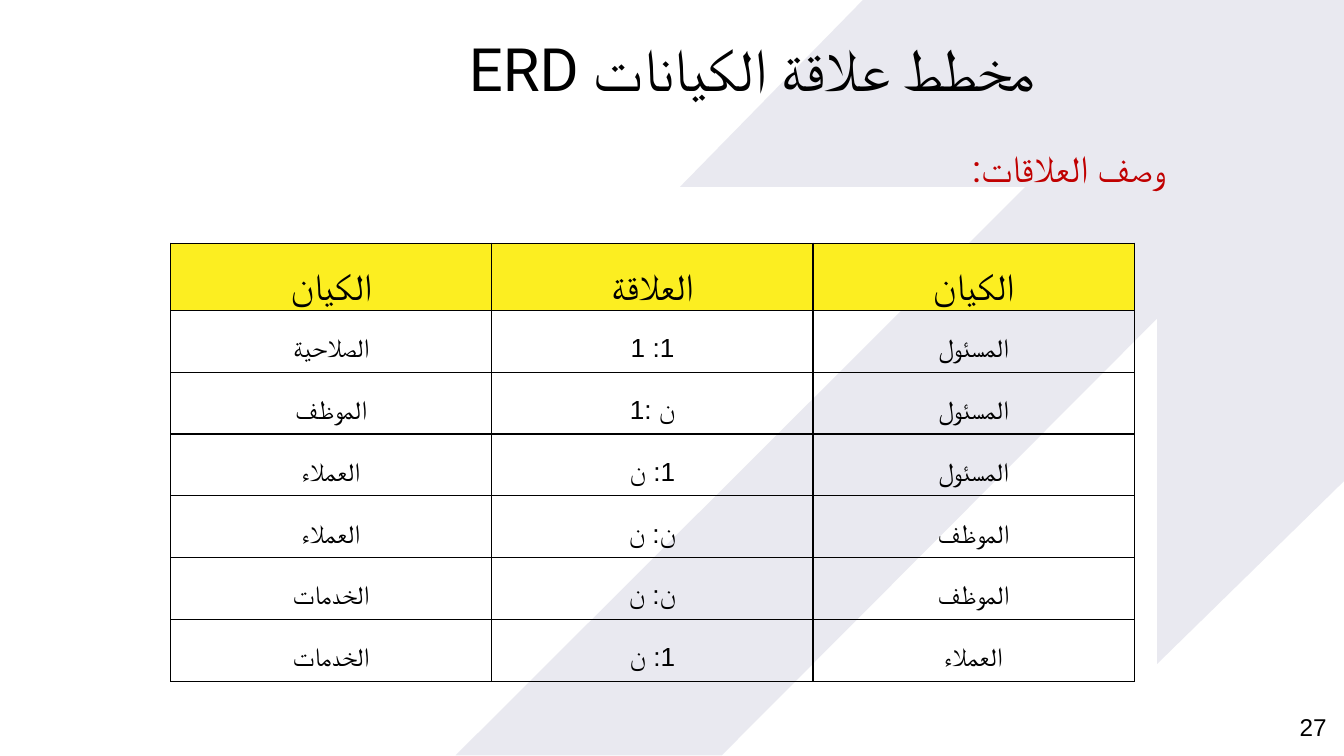
from dataclasses import dataclass

from lxml.etree import SubElement
from pptx import Presentation
from pptx.dml.color import RGBColor
from pptx.enum.text import MSO_ANCHOR, PP_ALIGN
from pptx.oxml.ns import qn
from pptx.util import Inches, Pt


@dataclass(frozen=True)
class Theme:
    black: str = "000000"
    red: str = "C00000"
    yellow: str = "FCEE21"
    shade: str = "E9E9F0"
    heading_font: str = "Roboto"
    body_font: str = "Arial"
    title_size: int = 32
    heading_size: int = 20
    cell_size: int = 14
    number_size: int = 13
    border_width: float = 0.75


THEME = Theme()
PAGE_WIDTH = 10
PAGE_HEIGHT = PAGE_WIDTH * 9 / 16

# Corners in hundredths of an inch, since a freeform takes whole units.
BACKDROP = [
    (642, 0), (506, 139), (763, 139), (339, 562), (537, 562),
    (861, 237), (861, 494), (1000, 358), (1000, 0),
]
HEADER = ["الكيان", "العلاقة", "الكيان"]
RELATIONS = [
    ["الصلاحية", "1: 1", "المسئول"],
    ["الموظف", "1: ن", "المسئول"],
    ["العملاء", "1: ن", "المسئول"],
    ["العملاء", "ن: ن", "الموظف"],
    ["الخدمات", "ن: ن", "الموظف"],
    ["الخدمات", "1: ن", "العملاء"],
]
RTL_RELATION_ROWS = {1, 3, 6}


def write_text(frame, text, *, size, font=THEME.body_font, color=THEME.black,
               align=PP_ALIGN.RIGHT, rtl=False, line_spacing=None):
    """Write one run, with the font set for Latin and Arabic letters alike."""
    para = frame.paragraphs[0]
    para.alignment = align
    if line_spacing:
        para.line_spacing = line_spacing
    if rtl:
        para._p.get_or_add_pPr().set("rtl", "1")
    span = para.add_run()
    span.text = text
    span.font.size = Pt(size)
    span.font.color.rgb = RGBColor.from_string(color)
    span.font.name = font
    SubElement(span._r.get_or_add_rPr(), qn("a:cs"), typeface=font)


class SlideBuilder:
    def __init__(self, page, theme):
        self.page = page
        self.theme = theme

    def polygon(self, points, color):
        start, *others = points
        builder = self.page.shapes.build_freeform(*start, scale=Inches(0.01))
        builder.add_line_segments(others, close=True)
        shape = builder.convert_to_shape()
        shape.shadow.inherit = False
        shape.fill.solid()
        shape.fill.fore_color.rgb = RGBColor.from_string(color)
        shape.line.fill.background()

    def text(self, left, top, width, height, text, *, inset=True,
             anchor=MSO_ANCHOR.TOP, **style):
        box = self.page.shapes.add_textbox(
            Inches(left), Inches(top), Inches(width), Inches(height))
        frame = box.text_frame
        frame.word_wrap = True
        frame.vertical_anchor = anchor
        if not inset:
            frame.margin_left = frame.margin_right = 0
            frame.margin_top = frame.margin_bottom = 0
        write_text(frame, text, **style)

    def table(self, left, top, column_width, header_height, row_height,
              header, body):
        rows = [header, *body]
        table = self.page.shapes.add_table(
            len(rows), len(header), Inches(left), Inches(top),
            Inches(column_width * len(header)),
            Inches(header_height + row_height * len(body))).table
        table.first_row = table.horz_banding = False
        for column in table.columns:
            column.width = Inches(column_width)
        for r, values in enumerate(rows):
            table.rows[r].height = Inches(row_height if r else header_height)
            for c, value in enumerate(values):
                self.cell(table.cell(r, c), value, is_header=r == 0,
                          rtl=c == 1 and r in RTL_RELATION_ROWS)

    def cell(self, cell, value, is_header, rtl):
        cell.margin_left = cell.margin_right = Inches(0.07)
        cell.margin_top = cell.margin_bottom = 0
        cell.vertical_anchor = MSO_ANCHOR.MIDDLE
        self.borders(cell)
        if is_header:
            cell.fill.solid()
            cell.fill.fore_color.rgb = RGBColor.from_string(self.theme.yellow)
        else:
            cell.fill.background()
        size = self.theme.heading_size if is_header else self.theme.cell_size
        write_text(cell.text_frame, value, size=size, align=PP_ALIGN.CENTER,
                   rtl=rtl, line_spacing=1.5)

    def borders(self, cell):
        properties = cell._tc.get_or_add_tcPr()
        for side in ("a:lnL", "a:lnR", "a:lnT", "a:lnB"):
            line = SubElement(properties, qn(side),
                              w=str(int(Pt(self.theme.border_width))))
            fill = SubElement(line, qn("a:solidFill"))
            SubElement(fill, qn("a:srgbClr"), val=self.theme.black)


def main():
    deck = Presentation()
    deck.slide_width = Inches(PAGE_WIDTH)
    deck.slide_height = Inches(PAGE_HEIGHT)
    page = deck.slides.add_slide(deck.slide_layouts[6])
    slide = SlideBuilder(page, THEME)

    slide.polygon(BACKDROP, THEME.shade)
    slide.text(9.27, 5.19, 0.6, 0.43, "27", inset=False,
               anchor=MSO_ANCHOR.MIDDLE, size=THEME.number_size)
    slide.text(2.2, 0.19, 5.6, 0.64, "مخطط علاقة الكيانات ERD",
               size=THEME.title_size, font=THEME.heading_font, rtl=True)
    slide.text(0.57, 1.03, 8.2, 0.77, "وصف العلاقات:",
               size=THEME.heading_size, font=THEME.heading_font,
               color=THEME.red, rtl=True)
    slide.table(1.27, 1.81, 2.39, 0.5, 0.46, HEADER, RELATIONS)

    deck.save("out.pptx")


if __name__ == "__main__":
    main()
